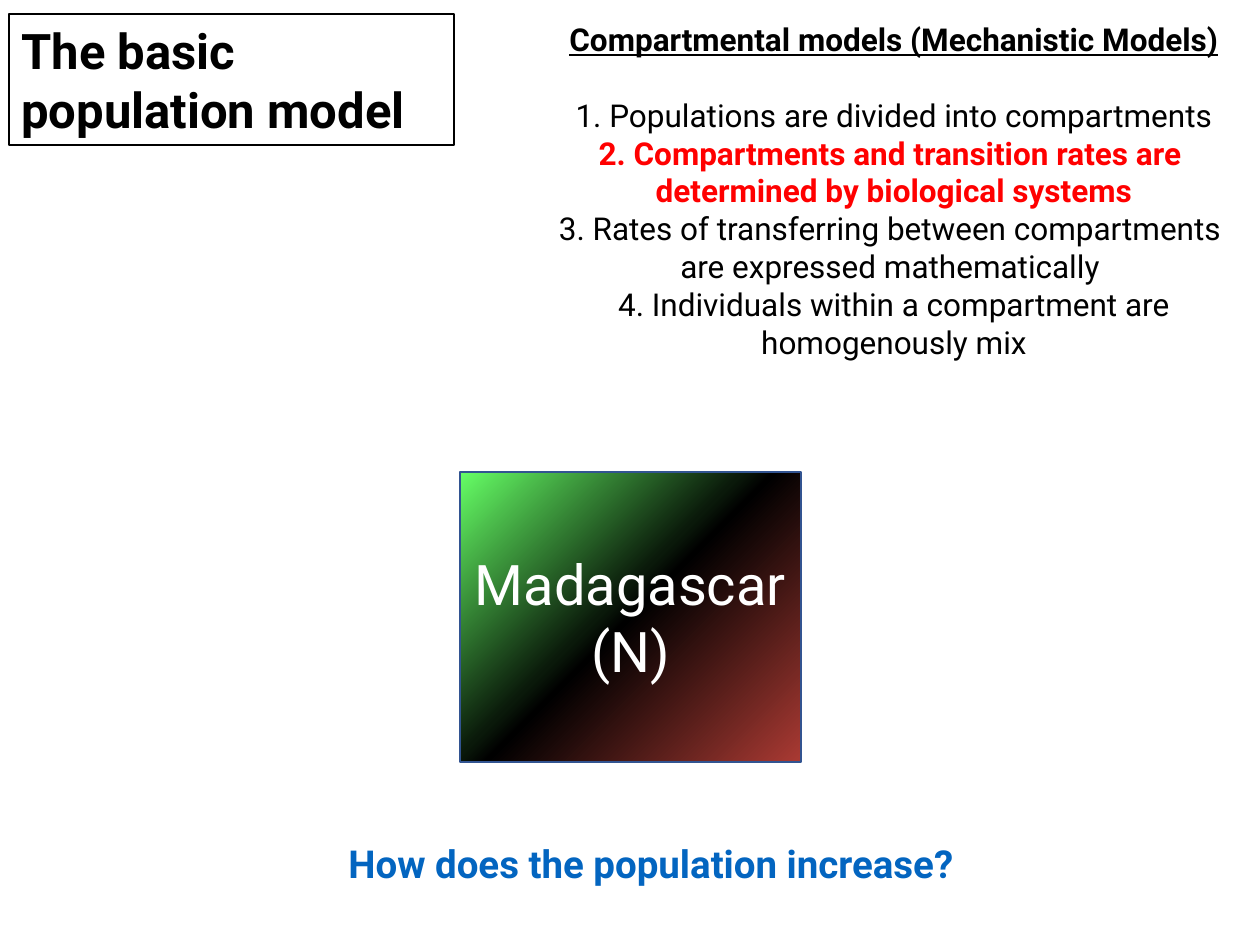
from lxml import etree
from pptx import Presentation
from pptx.dml.color import RGBColor
from pptx.enum.shapes import MSO_SHAPE
from pptx.enum.text import MSO_ANCHOR, PP_ALIGN
from pptx.oxml.ns import qn
from pptx.util import Emu, Pt

RECTANGLE = MSO_SHAPE.RECTANGLE
TOP, MIDDLE = MSO_ANCHOR.TOP, MSO_ANCHOR.MIDDLE
LEFT, CENTER = PP_ALIGN.LEFT, PP_ALIGN.CENTER
EMU_PER_PX = 914400 / 126
FONT = "Roboto"
BLACK, RED, WHITE, BLUE = "000000", "FF0000", "FFFFFF", "0365C0"


def color(value):
    return RGBColor.from_string(value)


def write(shape, lines, size, align=CENTER, anchor=TOP, wrap=True):
    frame = shape.text_frame
    frame.word_wrap = wrap
    frame.vertical_anchor = anchor
    for index, (text, ink, bold) in enumerate(lines):
        paragraph = frame.add_paragraph() if index else frame.paragraphs[0]
        paragraph.text = text
        paragraph.alignment = align
        paragraph.font.name = FONT
        paragraph.font.size = Pt(size)
        paragraph.font.bold = bold
        paragraph.font.color.rgb = color(ink)


presentation = Presentation()
presentation.slide_width = Emu(round(1260 * EMU_PER_PX))
presentation.slide_height = Emu(round(945 * EMU_PER_PX))
slide = presentation.slides.add_slide(presentation.slide_layouts[6])

boxes = {}
for name, is_text, bounds in [
    ("principles", True, (528, 14, 732, 357)),
    ("title", False, (9, 14, 445, 131)),
    ("population", False, (460, 472, 341, 290)),
    ("question", True, (310, 834, 682, 59)),
]:
    lengths = [Emu(round(value * EMU_PER_PX)) for value in bounds]
    if is_text:
        boxes[name] = slide.shapes.add_textbox(*lengths)
    else:
        boxes[name] = slide.shapes.add_shape(RECTANGLE, *lengths)
        boxes[name].shadow.inherit = False

write(boxes["principles"], [
    ("Compartmental models (Mechanistic Models)", BLACK, True),
    ("1. Populations are divided into compartments", BLACK, False),
    ("2. Compartments and transition rates are ", RED, True),
    ("determined by biological systems", RED, True),
    ("3. Rates of transferring between compartments ", BLACK, False),
    ("are expressed mathematically ", BLACK, False),
    ("4. Individuals within a compartment are homogenously mix", BLACK, False),
], 18)
heading = boxes["principles"].text_frame.paragraphs[0]
heading.font.underline = True
heading.space_after = Pt(21.6)

title = boxes["title"]
title.fill.background()
title.line.color.rgb = color(BLACK)
title.line.width = Pt(0.75)
write(title, [("The basic ", BLACK, True), ("population model", BLACK, True)], 28, LEFT)

population = boxes["population"]
population.line.color.rgb = color("325491")
population.line.width = Pt(1)
population.fill.gradient()
population.fill.gradient_angle = 315
stops = population._element.spPr.find(qn("a:gradFill")).find(qn("a:gsLst"))
for stop in list(stops):
    stops.remove(stop)
for percent, ink in [(0, "66FF66"), (45, "0A190A"), (50, BLACK), (100, "AA3A33")]:
    stop = etree.SubElement(stops, qn("a:gs"), pos=str(percent * 1000))
    etree.SubElement(stop, qn("a:srgbClr"), val=ink)
write(population, [("Madagascar", WHITE, False), ("(N)", WHITE, False)], 32, anchor=MIDDLE)

write(boxes["question"], [("How does the population increase?", BLUE, True)], 22, wrap=False)

presentation.save("out.pptx")
